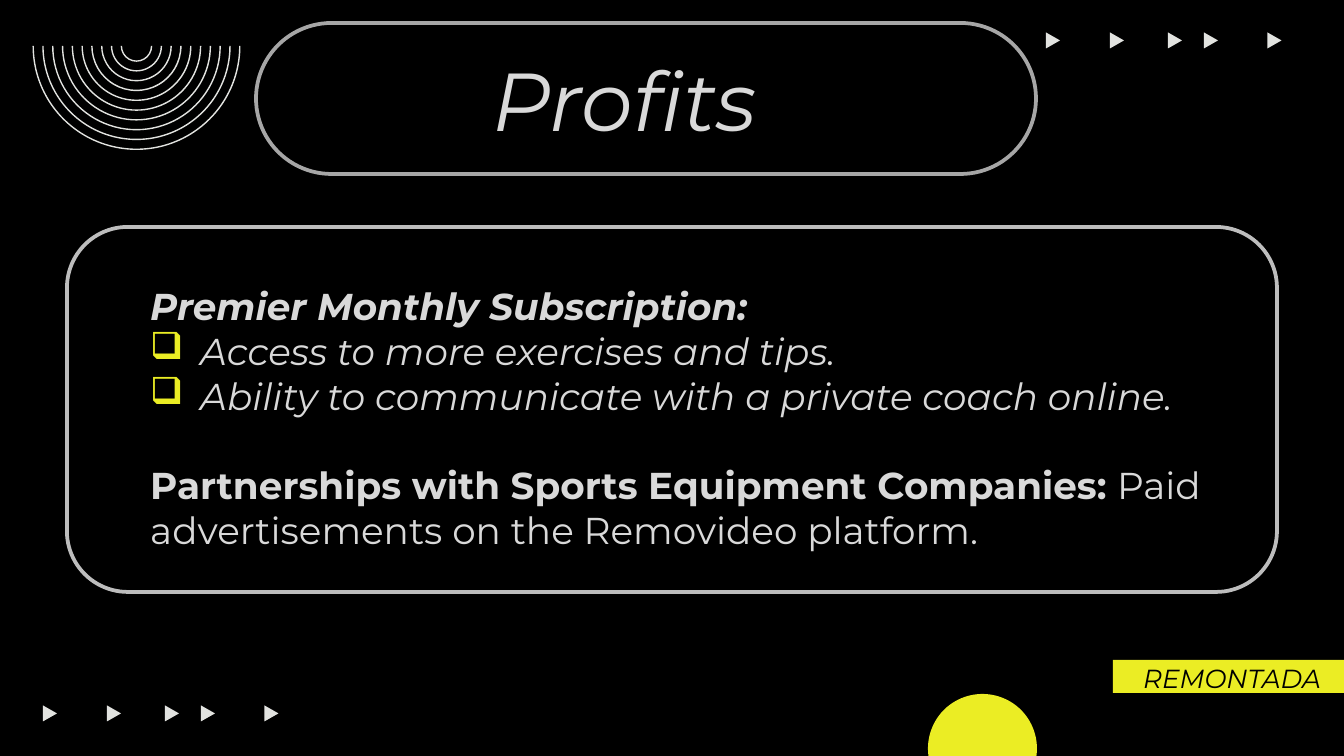
"""Build the Profits slide."""
from lxml.etree import SubElement
from pptx import Presentation
from pptx.dml.color import RGBColor
from pptx.enum.shapes import MSO_SHAPE
from pptx.enum.text import MSO_ANCHOR, MSO_AUTO_SIZE, PP_ALIGN
from pptx.oxml.ns import qn
from pptx.util import Pt

PX = 914400 / 134.4
FONT = "Montserrat"
COLORS = {
    "black": "000000", "yellow": "EBED24", "pale": "E2E3E0",
    "text": "D9D9D9", "pill": "A6A6A6", "card": "BDBDBD",
}
TITLE = "Profits"
TAG = "REMONTADA"
BODY = [
    {"runs": [("Premier Monthly Subscription:", True)], "italic": True},
    {"runs": [("Access to more exercises and tips.", False)], "italic": True, "bullet": True},
    {"runs": [("Ability to communicate with a private coach online.", False)],
     "italic": True, "bullet": True},
    {"runs": [("Partnerships with Sports Equipment Companies:", True),
              (" Paid advertisements on the Removideo platform.", False)],
     "italic": False, "before": 23.8},
]
BULLET_FONT, BULLET = "Wingdings", "q"
ARROW_ROWS = [(1045, 33.5), (42, 706.5)]
ARROW_OFFSETS = [0, 64, 122, 158, 221.5]
ARC_CENTER = (136.5, 46)
ARC_COUNT, ARC_RADIUS, ARC_STEP, ARC_WIDTH = 10, 104, 9.8, 1.4
HALF_TURN = 180 * 60000


def px(*values):
    return [round(value * PX) for value in values]


def color(name):
    return RGBColor.from_string(COLORS[name])


def paint(shape, fill, line=None):
    shape.shadow.inherit = False
    shape.fill.solid()
    shape.fill.fore_color.rgb = color(fill)
    if line:
        shape.line.color.rgb = color(line)
        shape.line.width = Pt(2)
    else:
        shape.line.fill.background()


def add_preset(slide, kind, box, fill, line=None):
    shape = slide.shapes.add_shape(kind, *px(*box))
    paint(shape, fill, line)
    return shape


def set_font(paragraph, size, name, italic):
    font = paragraph.font
    font.name, font.size, font.italic = FONT, Pt(size), italic
    font.color.rgb = color(name)


def add_text_box(slide, box):
    frame = slide.shapes.add_textbox(*px(*box)).text_frame
    frame.word_wrap = True
    return frame


def add_bullet(paragraph):
    properties = paragraph._p.get_or_add_pPr()
    indent, = px(50)
    properties.set("marL", str(indent))
    properties.set("indent", str(-indent))
    bullet_color = SubElement(properties, qn("a:buClr"))
    SubElement(bullet_color, qn("a:srgbClr"), val=COLORS["yellow"])
    SubElement(properties, qn("a:buFont"), typeface=BULLET_FONT)
    SubElement(properties, qn("a:buChar"), char=BULLET)


def add_arrows(slide):
    for left, top in ARROW_ROWS:
        for offset in ARROW_OFFSETS:
            box = (left + offset, top, 16, 14)
            add_preset(slide, MSO_SHAPE.ISOSCELES_TRIANGLE, box, "pale").rotation = 90


def add_point(outline, tag, x):
    SubElement(SubElement(outline, qn(tag)), qn("a:pt"), x=str(x), y="0")


def add_half_turn(outline, radius, start, swing):
    SubElement(outline, qn("a:arcTo"), wR=str(radius), hR=str(radius),
               stAng=str(start), swAng=str(swing))


def add_half_ring(slide, radius):
    x, y = ARC_CENTER
    builder = slide.shapes.build_freeform(*px(x - radius, y))
    builder.add_line_segments([px(x, y + radius), px(x + radius, y)])
    shape = builder.convert_to_shape()
    outline = shape.element.find(".//" + qn("a:path"))
    for segment in list(outline):
        outline.remove(segment)
    outer, inner = px(radius, radius - ARC_WIDTH)
    add_point(outline, "a:moveTo", 0)
    add_half_turn(outline, outer, HALF_TURN, -HALF_TURN)
    add_point(outline, "a:lnTo", outer + inner)
    add_half_turn(outline, inner, 0, HALF_TURN)
    SubElement(outline, qn("a:close"))
    paint(shape, "pale")


def add_title(slide):
    pill = add_preset(slide, MSO_SHAPE.ROUNDED_RECTANGLE, (256, 23, 780, 151), "black", "pill")
    pill.adjustments[0] = 0.5
    title = slide.shapes.title
    pill.element.addnext(title.element)
    title.left, title.top, title.width, title.height = px(275, 23, 700, 151)
    frame = title.text_frame
    frame.text = TITLE
    frame.auto_size = MSO_AUTO_SIZE.NONE
    frame.vertical_anchor = MSO_ANCHOR.MIDDLE
    paragraph = frame.paragraphs[0]
    paragraph.alignment = PP_ALIGN.CENTER
    set_font(paragraph, 44, "text", True)


def add_tag(slide):
    add_preset(slide, MSO_SHAPE.RECTANGLE, (1113, 660, 252, 33), "yellow")
    paragraph = add_text_box(slide, (1117, 656, 230, 46)).paragraphs[0]
    paragraph.text = TAG
    paragraph.alignment = PP_ALIGN.CENTER
    set_font(paragraph, 14, "black", True)


def add_body(slide):
    add_preset(slide, MSO_SHAPE.ROUNDED_RECTANGLE, (67, 227, 1210, 365), "black", "card")
    frame = add_text_box(slide, (137, 277, 1125, 331))
    for index, item in enumerate(BODY):
        paragraph = frame.add_paragraph() if index else frame.paragraphs[0]
        if item.get("bullet"):
            add_bullet(paragraph)
        if "before" in item:
            paragraph.space_before = Pt(item["before"])
        set_font(paragraph, 20, "text", item["italic"])
        for text, bold in item["runs"]:
            run = paragraph.add_run()
            run.text = text
            run.font.bold = bold


def main():
    presentation = Presentation()
    presentation.slide_width, presentation.slide_height = px(1344, 756)
    slide = presentation.slides.add_slide(presentation.slide_layouts[5])
    slide.background.fill.solid()
    slide.background.fill.fore_color.rgb = color("black")
    add_arrows(slide)
    add_tag(slide)
    add_title(slide)
    for index in range(ARC_COUNT):
        add_half_ring(slide, ARC_RADIUS - index * ARC_STEP)
    add_preset(slide, MSO_SHAPE.OVAL, (928, 694, 109, 109), "yellow")
    add_body(slide)
    presentation.save("out.pptx")


if __name__ == "__main__":
    main()
